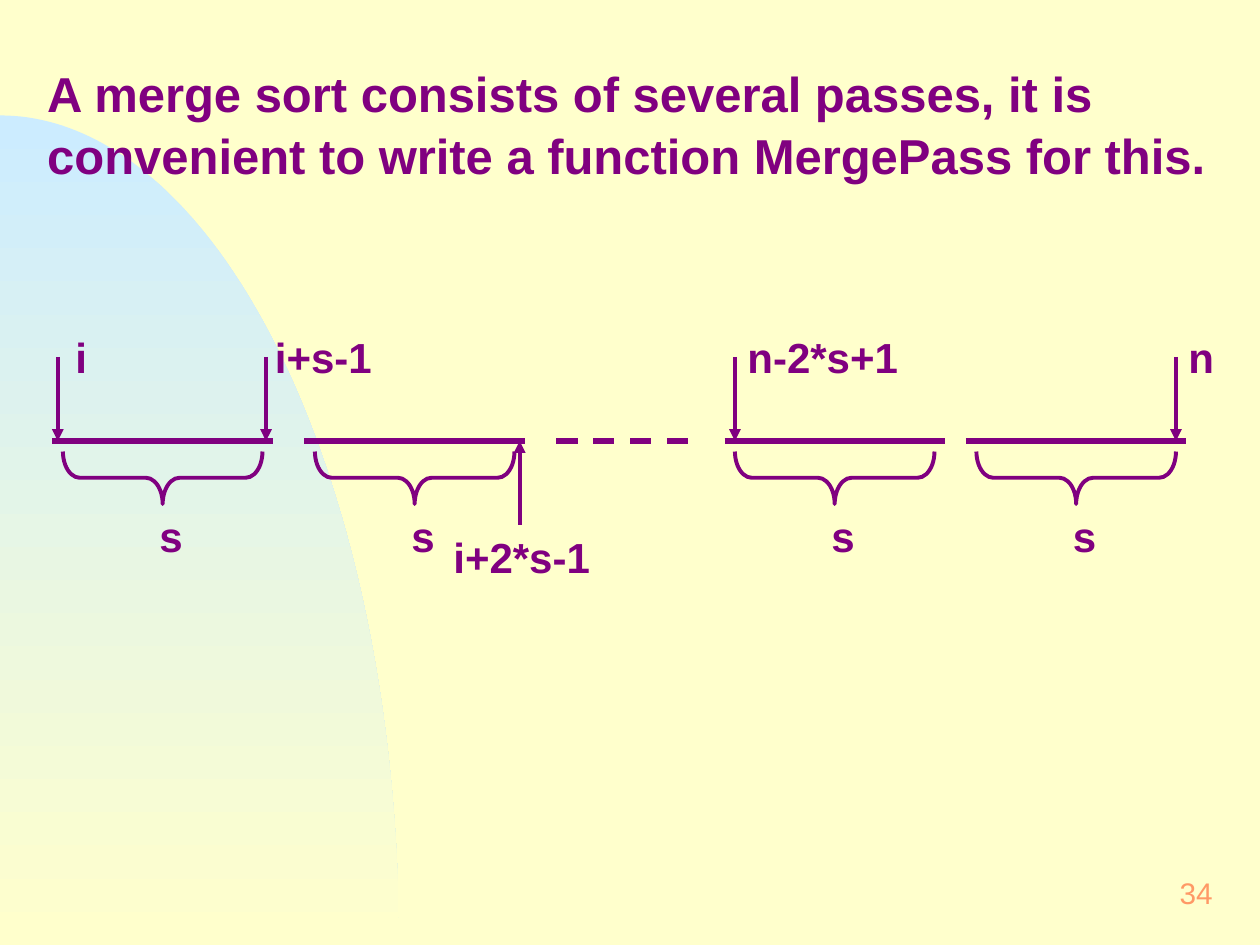
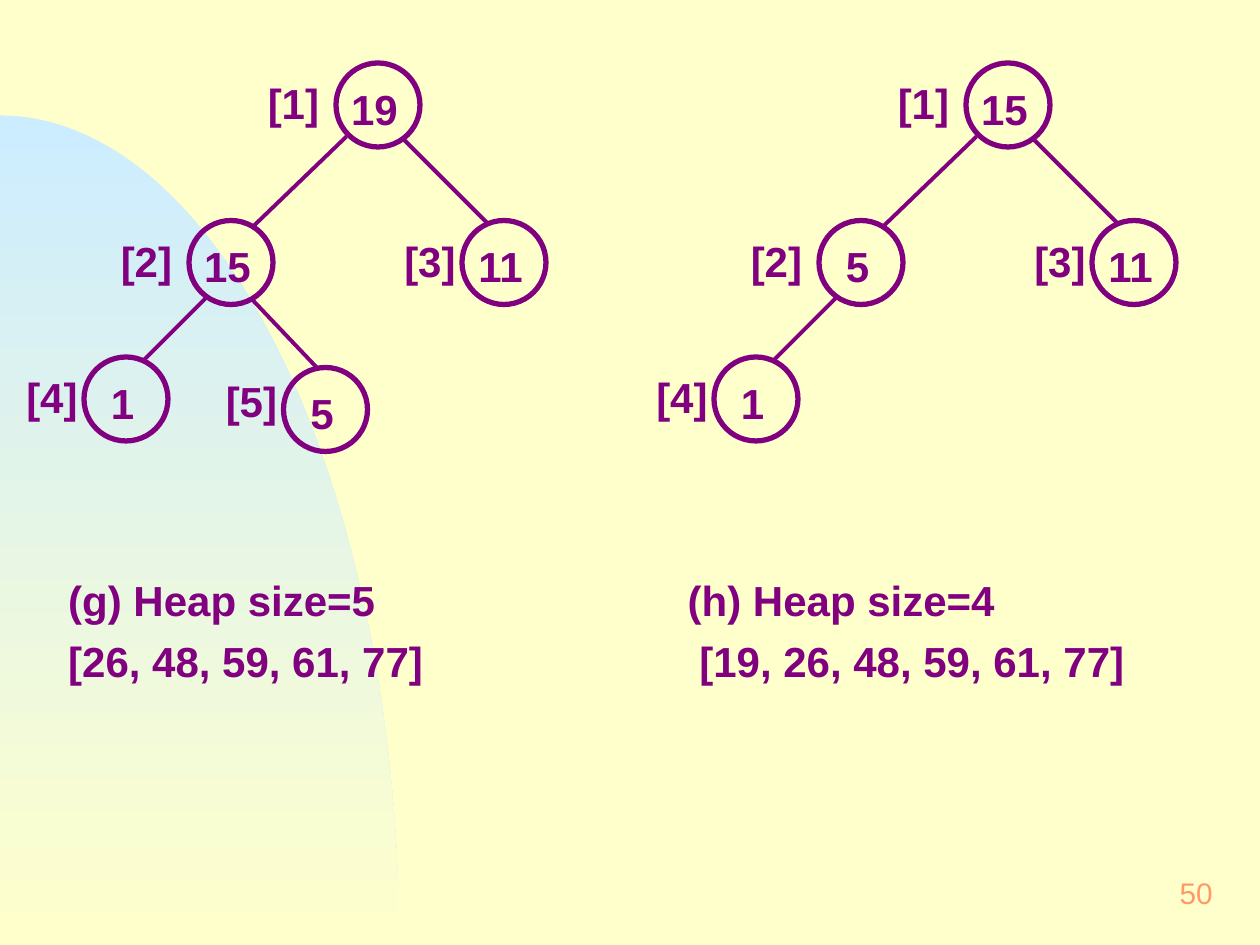
from math import cos, pi, sin

from lxml.etree import SubElement
from pptx import Presentation
from pptx.dml.color import RGBColor as RGB
from pptx.enum.dml import MSO_LINE_DASH_STYLE as Dash
from pptx.enum.shapes import MSO_CONNECTOR as Conn, MSO_SHAPE as Shape
from pptx.enum.text import MSO_ANCHOR as Anchor, PP_ALIGN as Align
from pptx.oxml.ns import qn
from pptx.util import Pt

PURPLE = RGB(0x80, 0x00, 0x80)
CREAM = RGB(0xFF, 0xFF, 0xCC)
SKY = RGB(0xCC, 0xEC, 0xFF)
ORANGE = RGB(0xFF, 0x99, 0x66)
FONT = "Arial"
WIDE, HIGH = 720, 540
THIN, THICK = 2.25, 3

# Heap nodes: left, top, gap to the index label, label drop
NODES = [(192, 36, 48, 4), (108, 126, 48, 4), (264, 126, 42, 4),
         (48, 204, 42, 4), (162, 210, 42, 0)]
# Edge from the parent down to each node but the root
EDGES = [(198, 78, 144, 130), (230, 79, 278, 127),
         (118, 170, 82, 206), (143, 170, 181, 210)]


# Shared parts
def style(para, size, color, bold):
    for run in para.runs:
        run.font.name = FONT
        run.font.size = Pt(size)
        run.font.bold = bold
        run.font.color.rgb = color


def add_text(slide, box, text, size=24, color=PURPLE, bold=True, inset=(9, 4.5)):
    shape = slide.shapes.add_textbox(*map(Pt, box))
    frame = shape.text_frame
    frame.word_wrap = True
    frame.margin_left = frame.margin_right = Pt(inset[0])
    frame.margin_top = frame.margin_bottom = Pt(inset[1])
    frame.text = text
    for para in frame.paragraphs:
        style(para, size, color, bold)
    return frame


def add_line(slide, start, end, width=THIN, arrow=False):
    line = slide.shapes.add_connector(Conn.STRAIGHT, *map(Pt, start + end))
    line.line.color.rgb = PURPLE
    line.line.width = Pt(width)
    if arrow:
        tail = SubElement(line.line._get_or_add_ln(), qn("a:tailEnd"))
        tail.set("type", "triangle")
    SubElement(line._element.spPr, qn("a:effectLst"))
    return line


def add_outline(slide, kind, box, width):
    shape = slide.shapes.add_shape(kind, *map(Pt, box))
    shape.shadow.inherit = False
    shape.fill.background()
    shape.line.color.rgb = PURPLE
    shape.line.width = Pt(width)
    return shape


def add_arc(slide, box):
    """Quarter ellipse that fills the box, fading downwards."""
    left, top, width, height = box
    steps = 90
    turns = [pi / 2 * i / steps for i in range(steps + 1)]
    curve = [(Pt(left + width * sin(t)), Pt(top + height * (1 - cos(t))))
             for t in turns]
    path = slide.shapes.build_freeform(*curve[0])
    path.add_line_segments(curve[1:] + [(Pt(left), Pt(top + height))], close=True)
    shape = path.convert_to_shape()
    shape.shadow.inherit = False
    shape.line.fill.background()
    shape.fill.gradient()
    shape.fill.gradient_angle = 270
    for stop, color, place in zip(shape.fill.gradient_stops, (SKY, CREAM), (0, 1)):
        stop.color.rgb = color
        stop.position = place


def add_page(deck, number):
    slide = deck.slides.add_slide(deck.slide_layouts[6])
    slide.background.fill.solid()
    slide.background.fill.fore_color.rgb = CREAM
    add_arc(slide, (0, 66, 228, 474))
    frame = add_text(slide, (552, 492, 150, 36), str(number), 17, ORANGE, False)
    frame.vertical_anchor = Anchor.MIDDLE
    frame.paragraphs[0].alignment = Align.RIGHT
    return slide


# Merge pass
def add_label(slide, left, top, width, text):
    add_text(slide, (left, top, width, 36), text, inset=(7.2, 3.6))


def add_block(slide, left, top, width=126):
    """Sorted block with a brace that shows its length."""
    add_line(slide, (left, top), (left + width, top), THICK)
    span, depth = width - 12, 30
    brace = add_outline(
        slide, Shape.LEFT_BRACE,
        (left + (width - depth) / 2, top + 6 + (depth - span) / 2, depth, span), THIN)
    brace.rotation = 270
    brace.adjustments[0] = 0.32
    add_label(slide, left + 54, top + 36, 60, "s")


def merge_page(deck):
    slide = add_page(deck, 34)
    title = add_text(slide, (18, 30, 690, 79),
                     "A merge sort consists of several passes, it is "
                     "convenient to write a function MergePass for this.", 28)
    title.paragraphs[0].line_spacing = 1.05

    # Blocks on one axis
    axis = 252
    for left in (30, 174, 414, 552):
        add_block(slide, left, axis)
    gap = add_line(slide, (318, axis), (402, axis), THICK)
    gap.line.dash_style = Dash.DASH

    # Index marks: arrow place, label place, label width, text
    for x, left, width, text in [(33, 36, 60, "i"), (152, 150, 78, "i+s-1"),
                                 (420, 420, 120, "n-2*s+1"), (672, 672, 48, "n")]:
        add_line(slide, (x, axis - 48), (x, axis), arrow=True)
        add_label(slide, left, axis - 66, width, text)
    add_line(slide, (297, axis + 48), (297, axis), arrow=True)
    add_label(slide, 252, axis + 48, 126, "i+2*s-1")


# Heaps
def add_node(slide, left, top, value):
    node = add_outline(slide, Shape.OVAL, (left, top, 48, 48), THICK)
    frame = node.text_frame
    frame.word_wrap = False
    frame.vertical_anchor = Anchor.MIDDLE
    frame.margin_left = frame.margin_bottom = 0
    frame.margin_right = frame.margin_top = Pt(4)
    frame.text = str(value)
    frame.paragraphs[0].alignment = Align.CENTER
    style(frame.paragraphs[0], 24, PURPLE, True)


def add_heap(slide, left, values, indent, caption):
    for x1, y1, x2, y2 in EDGES[:len(values) - 1]:
        add_line(slide, (left + x1, y1), (left + x2, y2))
    for index, (value, spot) in enumerate(zip(values, NODES), 1):
        x, y, gap, drop = spot
        add_node(slide, left + x, y, value)
        add_text(slide, (left + x - gap, y + drop, 60, 37), f"[{index}]")
    frame = add_text(slide, (left + indent, 324, 282, 73), caption)
    frame.paragraphs[1].space_before = Pt(6)


def heap_page(deck):
    slide = add_page(deck, 50)
    add_heap(slide, 0, (19, 15, 11, 1, 5), 30,
             "(g) Heap size=5\n[26, 48, 59, 61, 77]")
    add_heap(slide, 360, (15, 5, 11, 1), 24,
             "(h) Heap size=4\n [19, 26, 48, 59, 61, 77]")


def main():
    deck = Presentation()
    deck.slide_width, deck.slide_height = Pt(WIDE), Pt(HIGH)
    merge_page(deck)
    heap_page(deck)
    deck.save("out.pptx")


if __name__ == "__main__":
    main()
